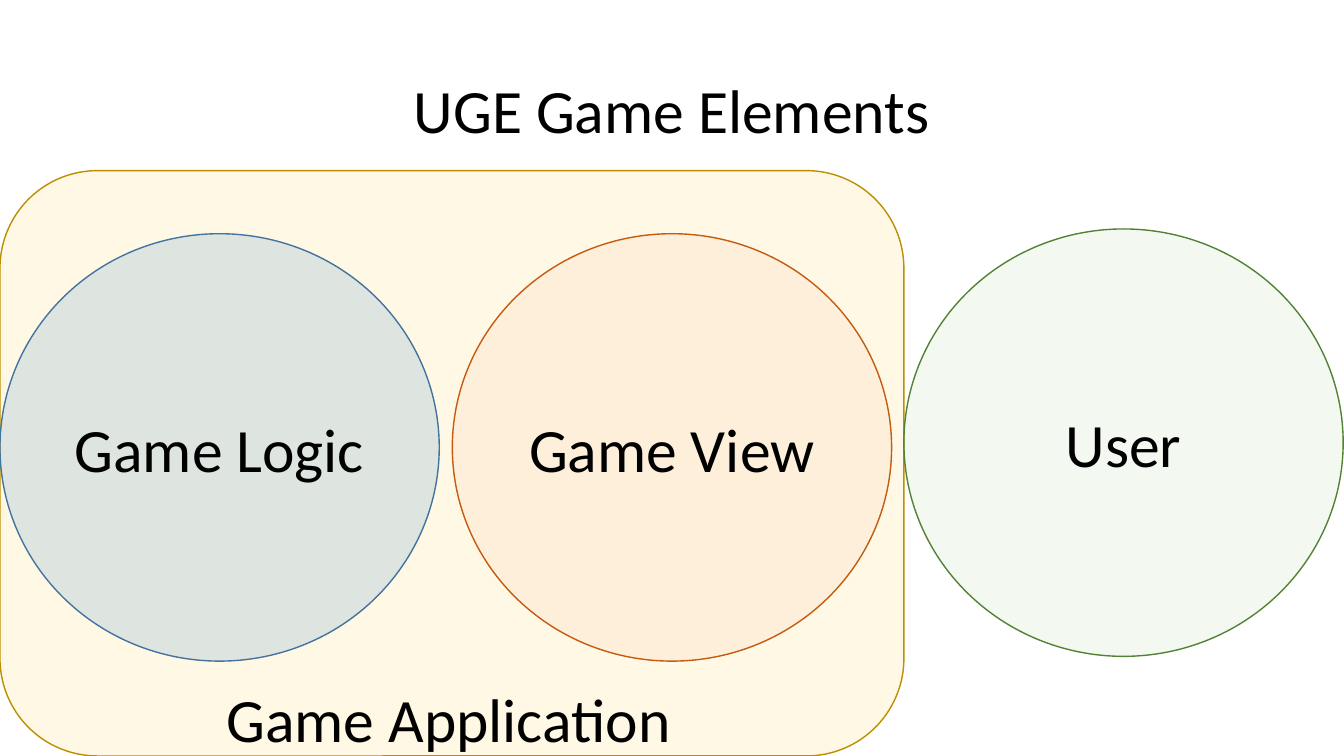
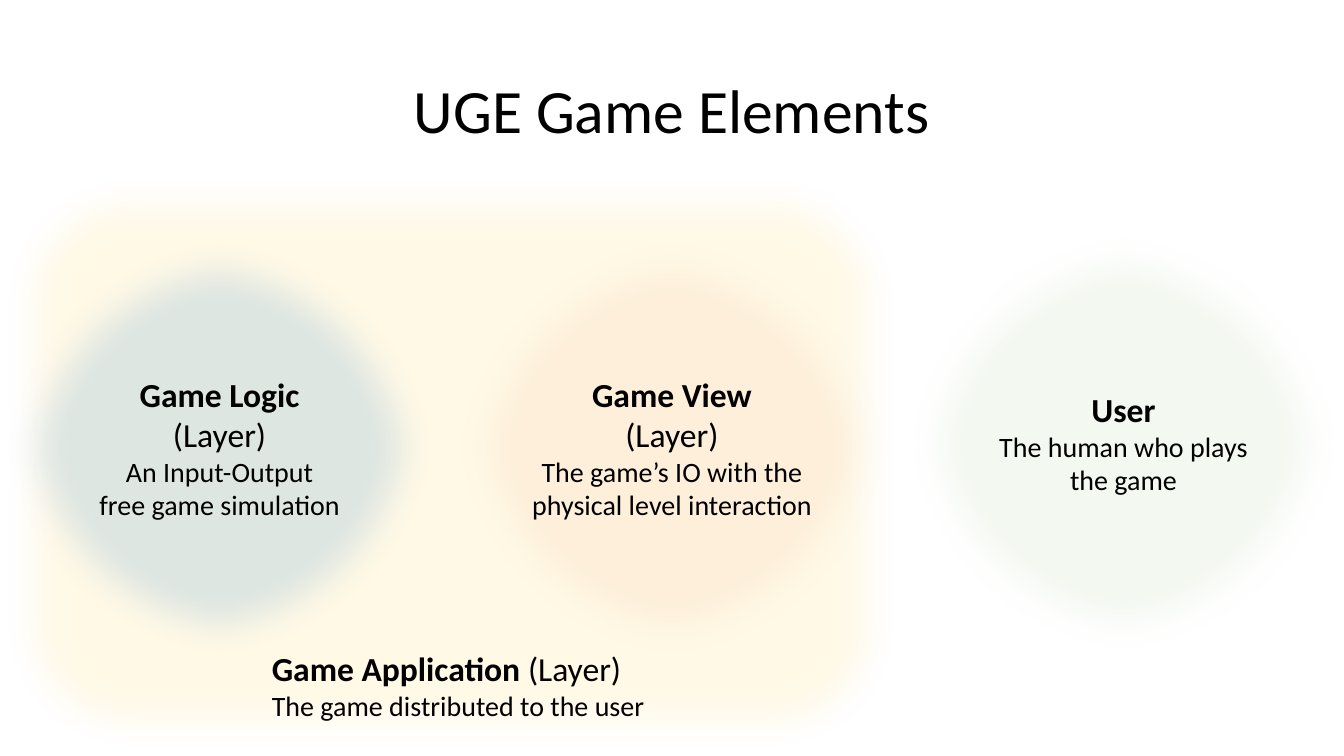
from lxml.etree import SubElement
from pptx import Presentation
from pptx.dml.color import RGBColor
from pptx.enum.shapes import MSO_SHAPE
from pptx.enum.text import MSO_ANCHOR, MSO_AUTO_SIZE, PP_ALIGN
from pptx.oxml.ns import qn
from pptx.util import Cm, Pt

FONT = "Calibri"
TEXT = "000000"
SLIDE_SIZE = (33.87, 19.05)
TITLE_BOX = (2.33, 1.01, 29.21, 3.68)
APPLICATION_BOX = (0, 4.3, 22.78, 14.75)
CIRCLE_SIZE = (11.07, 10.77)
# Left, top, fill, opacity in percent and outline of each circle
LOGIC = (0, 5.89, "5B9BD5", 20, "43739E")
VIEW = (11.4, 5.89, "F8CBAD", 20, "C55A11")
USER = (22.78, 5.77, "C5E0B4", 20, "548235")
APPLICATION_STYLE = ("FFC000", 10, "BD8E00")
SOFT_EDGE = Pt(25)


def rgb(value):
    return RGBColor.from_string(value)


def place(box):
    return [Cm(length) for length in box]


def big(text):
    return (text, 44, False)


def name(text):
    return (text, 24, True)


def kind(text):
    return (text, 24, False)


def detail(text):
    return (text, 20, False)


def write_lines(paragraph, lines):
    """Fill a paragraph with lines, each a list of (text, size, bold) runs."""
    for number, line in enumerate(lines):
        if number:
            paragraph.add_line_break()
        for text, size, bold in line:
            run = paragraph.add_run()
            run.text = text
            run.font.name = FONT
            run.font.size = Pt(size)
            run.font.bold = bold
            run.font.color.rgb = rgb(TEXT)


def add_region(slide, preset, box, style, soft):
    """Add a translucent shape, outlined or with soft edges."""
    fill, opacity, outline = style
    region = slide.shapes.add_shape(preset, *place(box))
    region.shadow.inherit = False
    region.fill.solid()
    region.fill.fore_color.rgb = rgb(fill)
    color = region._element.spPr.find(qn("a:solidFill"))[0]
    SubElement(color, qn("a:alpha"), val=str(opacity * 1000))
    if soft:
        region.line.fill.background()
        effects = region._element.spPr.find(qn("a:effectLst"))
        SubElement(effects, qn("a:softEdge"), rad=str(SOFT_EDGE))
    else:
        region.line.color.rgb = rgb(outline)
        region.line.width = Pt(1)
    return region


def add_circle(slide, element, lines, soft):
    left, top, *style = element
    circle = add_region(slide, MSO_SHAPE.OVAL, (left, top, *CIRCLE_SIZE), style, soft)
    frame = circle.text_frame
    frame.vertical_anchor = MSO_ANCHOR.MIDDLE
    frame.paragraphs[0].alignment = PP_ALIGN.CENTER
    write_lines(frame.paragraphs[0], lines)


def add_title(slide, text):
    title = slide.shapes.title
    title.left, title.top, title.width, title.height = place(TITLE_BOX)
    title.text_frame.vertical_anchor = MSO_ANCHOR.MIDDLE
    paragraph = title.text_frame.paragraphs[0]
    paragraph.alignment = PP_ALIGN.CENTER
    paragraph.line_spacing = 0.9
    write_lines(paragraph, [[big(text)]])


def add_caption(slide, box, lines):
    frame = slide.shapes.add_textbox(*place(box)).text_frame
    frame.word_wrap = False
    frame.auto_size = MSO_AUTO_SIZE.SHAPE_TO_FIT_TEXT
    write_lines(frame.paragraphs[0], lines)


def add_elements_slide(deck, circles, caption_box, caption, soft=False):
    slide = deck.slides.add_slide(deck.slide_layouts[5])
    add_title(slide, "UGE Game Elements")
    add_region(slide, MSO_SHAPE.ROUNDED_RECTANGLE, APPLICATION_BOX,
               APPLICATION_STYLE, soft)
    for element, lines in circles:
        add_circle(slide, element, lines, soft)
    add_caption(slide, caption_box, caption)


def main():
    deck = Presentation()
    deck.slide_width, deck.slide_height = place(SLIDE_SIZE)
    add_elements_slide(
        deck,
        [(LOGIC, [[big("Game Logic")]]),
         (VIEW, [[big("Game View")]]),
         (USER, [[big("User")]])],
        (5.46, 17.04, 11.84, 2.13),
        [[big("Game Application")]],
    )
    add_elements_slide(
        deck,
        [(LOGIC, [[name("Game Logic")], [kind("(Layer)")],
                  [detail("An Input-Output")], [detail("free game simulation")]]),
         (VIEW, [[name("Game View")], [kind("(Layer)")],
                 [detail("The game’s IO with the")],
                 [detail("physical level interaction")]]),
         (USER, [[name("User")], [detail("The human who plays the game")]])],
        (6.6, 16.21, 10.01, 2.13),
        [[name("Game Application"), kind(" (Layer)")],
         [detail("The game distributed to the user")]],
        soft=True,
    )
    deck.save("out.pptx")


if __name__ == "__main__":
    main()
